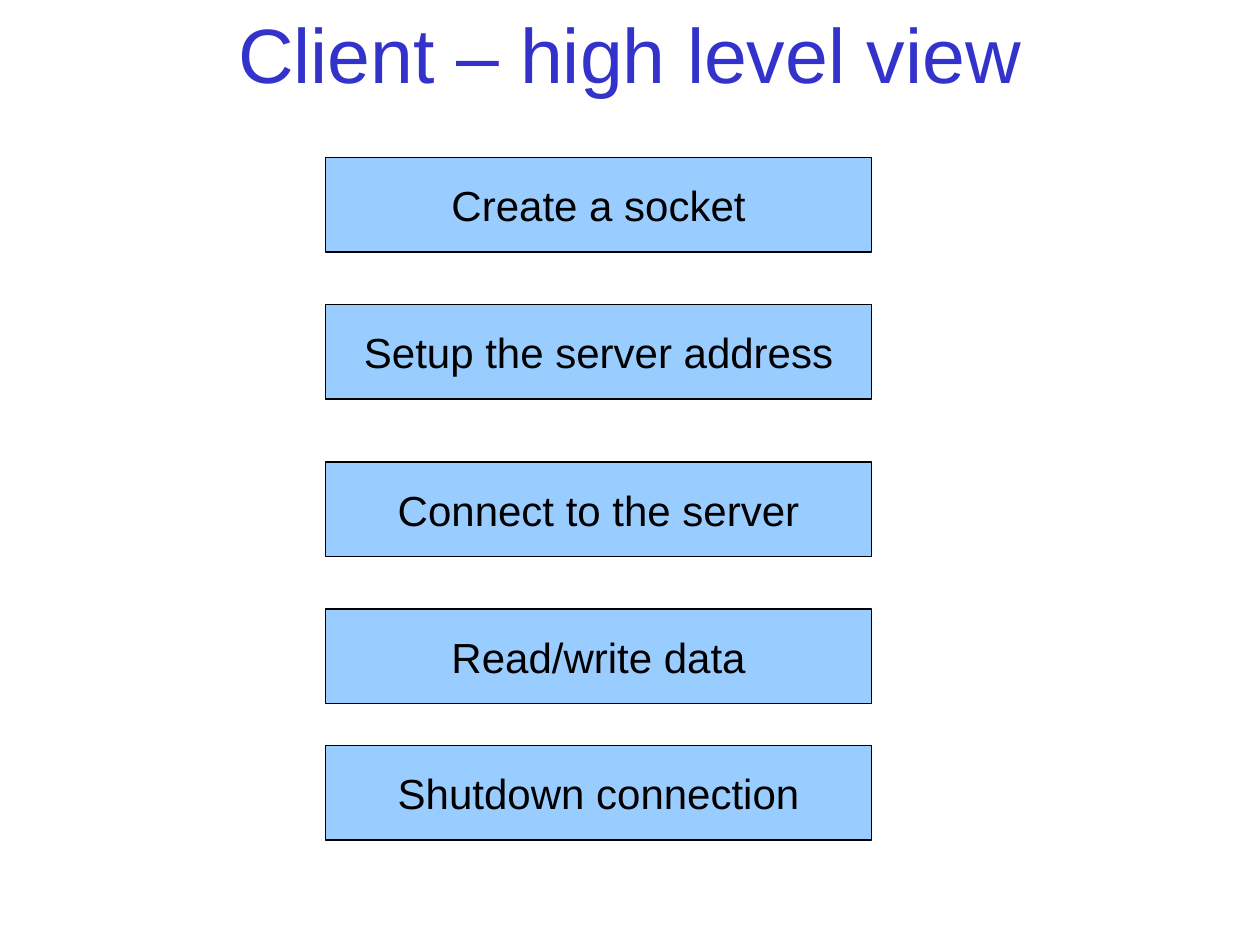
"""Build a slide listing the steps of a socket client."""
from pptx import Presentation
from pptx.dml.color import RGBColor
from pptx.enum.shapes import MSO_SHAPE
from pptx.enum.text import MSO_ANCHOR, MSO_AUTO_SIZE, PP_ALIGN
from pptx.util import Inches, Pt

RECTANGLE = MSO_SHAPE.RECTANGLE
MIDDLE = MSO_ANCHOR.MIDDLE
NO_FIT = MSO_AUTO_SIZE.NONE
CENTER = PP_ALIGN.CENTER

TITLE = "Client – high level view"
STEPS = [
    ("Create a socket", 15),
    ("Setup the server address", 29),
    ("Connect to the server", 44),
    ("Read/write data", 58),
    ("Shutdown connection", 71),
]
COLORS = {"title": "3333CC", "box": "99CCFF", "ink": "000000"}
FONT = "Arial"

COLUMNS, ROWS = 120, 90
TITLE_ROWS = 10
BOX_LEFT, BOX_COLUMNS, BOX_ROWS = 31, 52, 9


def color(name):
    return RGBColor.from_string(COLORS[name])


def write(shape, text, size, color_name, wrap):
    frame = shape.text_frame
    frame.auto_size = NO_FIT
    frame.word_wrap = wrap
    frame.vertical_anchor = MIDDLE
    para = frame.paragraphs[0]
    para.alignment = CENTER
    para.space_before = para.space_after = Pt(0.3)
    span = para.add_run()
    span.text = text
    span.font.name = FONT
    span.font.size = Pt(size)
    span.font.color.rgb = color(color_name)


def main():
    deck = Presentation()
    deck.slide_width, deck.slide_height = Inches(10), Inches(7.5)
    cell_width = deck.slide_width // COLUMNS
    cell_height = deck.slide_height // ROWS
    page = deck.slides.add_slide(deck.slide_layouts[5])

    title = page.shapes.title
    title.left, title.top = 0, 0
    title.width, title.height = deck.slide_width, TITLE_ROWS * cell_height
    write(title, TITLE, 44, "title", True)

    for text, row in STEPS:
        box = page.shapes.add_shape(
            RECTANGLE, BOX_LEFT * cell_width, row * cell_height,
            BOX_COLUMNS * cell_width, BOX_ROWS * cell_height)
        box.shadow.inherit = False
        box.fill.solid()
        box.fill.fore_color.rgb = color("box")
        box.line.color.rgb = color("ink")
        box.line.width = Pt(0.75)
        write(box, text, 24, "ink", False)

    deck.save("out.pptx")


if __name__ == "__main__":
    main()
